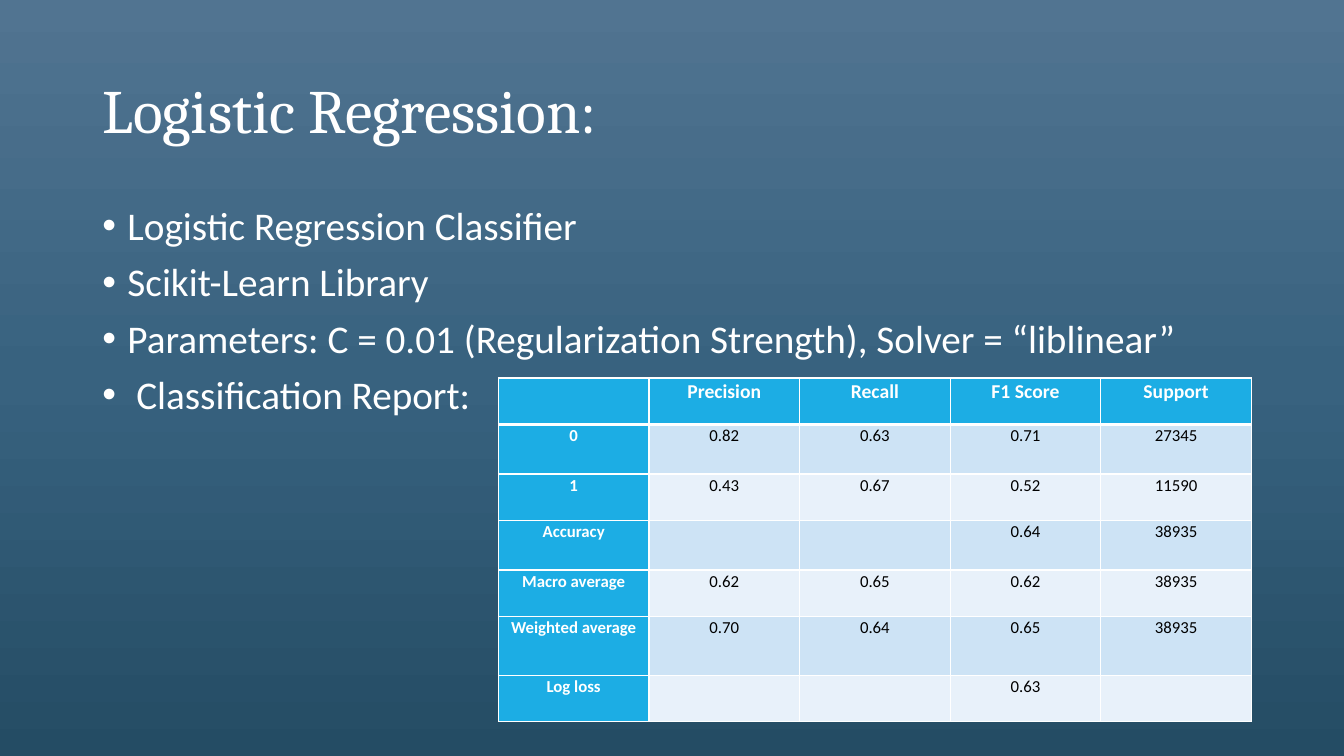
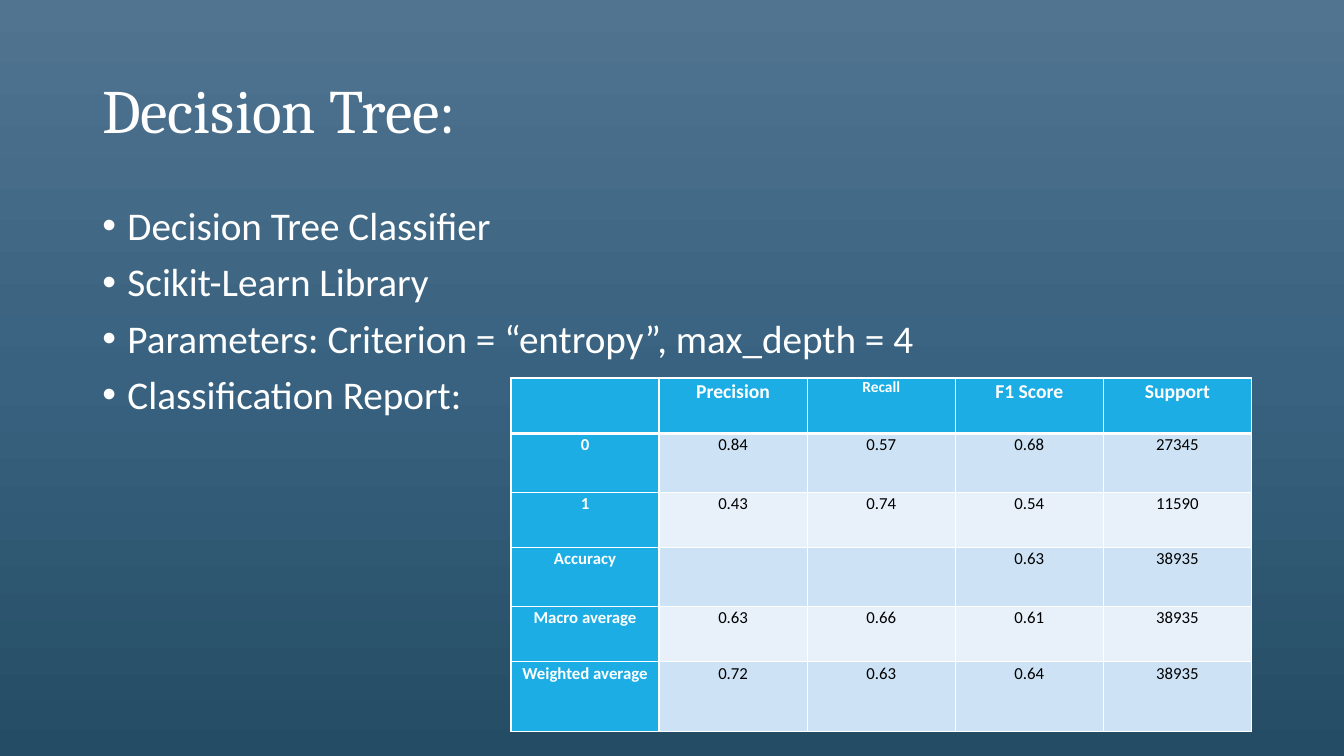
from collections import namedtuple
from copy import deepcopy
from dataclasses import dataclass

from lxml import etree
from pptx import Presentation
from pptx.dml.color import RGBColor
from pptx.enum import text
from pptx.oxml import ns
from pptx.util import Pt

Box = namedtuple("Box", "left top width height")


@dataclass(frozen=True)
class Theme:
    gradient: tuple = ((0, "517491"), (0.5, "38627F"), (1, "244C64"))
    light: str = "FFFFFF"
    dark: str = "000000"
    accent: str = "1CADE4"
    bands: tuple = ("CDE3F5", "E8F1FA")
    title_font: str = "Cambria"
    body_font: str = "Calibri"
    title_size: float = 44
    body_size: float = 28
    header_size: float = 14
    small_header_size: float = 11
    cell_size: float = 12
    thin_line: float = 1
    thick_line: float = 3


THEME = Theme()
SLIDE_SIZE = (960, 540)
TITLE_BOX = Box(66, 29, 828, 104)
BODY_BOX = Box(66, 144, 828, 343)
TABLE_TOP = 270
BULLET_INDENT = 18
BODY_FORMAT = {"line_spacing": 0.9, "space_before": Pt(10)}
CELL_FORMAT = {
    "alignment": text.PP_ALIGN.CENTER,
    "line_spacing": 1.07,
    "space_before": Pt(6),
    "space_after": Pt(8),
}
SMALL_HEADER_FORMAT = {
    "alignment": text.PP_ALIGN.CENTER,
    "space_before": Pt(6),
}
CELL_MARGINS = {
    "margin_left": Pt(5),
    "margin_right": Pt(5),
    "margin_top": 0,
    "margin_bottom": 0,
}
HEADERS = ("", "Precision", "Recall", "F1 Score", "Support")
ROW_WEIGHTS = (1, 1.06, 1, 1.06, 1, 1.26, 1)

MODELS = (
    {
        "title": "Logistic Regression:",
        "bullets": (
            "Logistic Regression Classifier",
            "Scikit-Learn Library",
            "Parameters: C = 0.01 (Regularization Strength), Solver = “liblinear”",
            " Classification Report:",
        ),
        "table_size": (538, 245.6),
        "small_headers": (),
        "report": (
            ("0", "0.82", "0.63", "0.71", "27345"),
            ("1", "0.43", "0.67", "0.52", "11590"),
            ("Accuracy", "", "", "0.64", "38935"),
            ("Macro average", "0.62", "0.65", "0.62", "38935"),
            ("Weighted average", "0.70", "0.64", "0.65", "38935"),
            ("Log loss", "", "", "0.63", ""),
        ),
    },
    {
        "title": "Decision Tree:",
        "bullets": (
            "Decision Tree Classifier",
            "Scikit-Learn Library",
            "Parameters: Criterion = “entropy”, max_depth = 4",
            "Classification Report:",
        ),
        "table_size": (529, 252.6),
        "small_headers": ("Recall",),
        "report": (
            ("0", "0.84", "0.57", "0.68", "27345"),
            ("1", "0.43", "0.74", "0.54", "11590"),
            ("Accuracy", "", "", "0.63", "38935"),
            ("Macro average", "0.63", "0.66", "0.61", "38935"),
            ("Weighted average", "0.72", "0.63", "0.64", "38935"),
        ),
    },
)


def set_attributes(target, values):
    for name, value in values.items():
        setattr(target, name, value)


def write(paragraph, words, paragraph_format, color, **font_format):
    set_attributes(paragraph, paragraph_format)
    run = paragraph.add_run()
    run.text = words
    set_attributes(run.font, font_format)
    run.font.color.rgb = RGBColor.from_string(color)


def paint_background(master):
    """Give every slide the gradient, running from top to bottom."""
    fill = master.background.fill
    fill.gradient()
    fill.gradient_angle = 270
    stop_list = master.element.xpath(".//p:bg//a:gsLst")[0]
    stop_list.insert(1, deepcopy(stop_list[0]))
    for stop, (position, color) in zip(fill.gradient_stops, THEME.gradient):
        stop.position = position
        stop.color.rgb = RGBColor.from_string(color)


def add_text_frame(slide, box, anchor):
    frame = slide.shapes.add_textbox(*map(Pt, box)).text_frame
    set_attributes(frame, {"word_wrap": True, "vertical_anchor": anchor})
    return frame


def add_title(slide, box, words):
    frame = add_text_frame(slide, box, text.MSO_ANCHOR.MIDDLE)
    write(frame.paragraphs[0], words, {"line_spacing": 0.9}, THEME.light,
          name=THEME.title_font, size=Pt(THEME.title_size))


def add_bullet(paragraph):
    properties = paragraph._p.get_or_add_pPr()
    properties.set("marL", str(Pt(BULLET_INDENT)))
    properties.set("indent", str(-Pt(BULLET_INDENT)))
    etree.SubElement(properties, ns.qn("a:buFont"), typeface="Arial")
    etree.SubElement(properties, ns.qn("a:buChar"), char="•")


def add_bullets(slide, box, lines):
    frame = add_text_frame(slide, box, text.MSO_ANCHOR.TOP)
    for index, line in enumerate(lines):
        paragraph = frame.add_paragraph() if index else frame.paragraphs[0]
        write(paragraph, line, BODY_FORMAT, THEME.light,
              name=THEME.body_font, size=Pt(THEME.body_size))
        add_bullet(paragraph)


def add_borders(cell, row_index):
    """Draw thin borders, with a thick rule between header and body."""
    properties = cell._tc.get_or_add_tcPr()
    thick_side = {0: "lnB", 1: "lnT"}.get(row_index)
    for side in ("lnL", "lnR", "lnT", "lnB"):
        width = THEME.thick_line if side == thick_side else THEME.thin_line
        line = etree.SubElement(properties, ns.qn(f"a:{side}"), w=str(Pt(width)))
        fill = etree.SubElement(line, ns.qn("a:solidFill"))
        etree.SubElement(fill, ns.qn("a:srgbClr"), val=THEME.light)


def fill_cell(cell, words, row_index, column_index, small):
    is_heading = row_index == 0 or column_index == 0
    background = THEME.accent if is_heading else THEME.bands[(row_index - 1) % 2]
    add_borders(cell, row_index)
    cell.fill.solid()
    cell.fill.fore_color.rgb = RGBColor.from_string(background)
    if not words:
        return
    set_attributes(cell, CELL_MARGINS)
    size = THEME.header_size if row_index == 0 else THEME.cell_size
    if small:
        size = THEME.small_header_size
    write(cell.text_frame.paragraphs[0], words,
          SMALL_HEADER_FORMAT if small else CELL_FORMAT,
          THEME.light if is_heading else THEME.dark,
          name=THEME.body_font, size=Pt(size), bold=is_heading)


def add_report(slide, box, report, small_headers):
    rows = (HEADERS, *report)
    table = slide.shapes.add_table(len(rows), len(HEADERS), *map(Pt, box)).table
    for column in table.columns:
        column.width = Pt(box.width / len(HEADERS))
    weights = ROW_WEIGHTS[:len(rows)]
    for row_index, (weight, values) in enumerate(zip(weights, rows)):
        table.rows[row_index].height = Pt(box.height * weight / sum(weights))
        for column_index, words in enumerate(values):
            fill_cell(table.cell(row_index, column_index), words,
                      row_index, column_index, words in small_headers)


def add_model_slide(presentation, model):
    slide = presentation.slides.add_slide(presentation.slide_layouts[6])
    add_title(slide, TITLE_BOX, model["title"])
    add_bullets(slide, BODY_BOX, model["bullets"])
    width, height = model["table_size"]
    left = BODY_BOX.left + BODY_BOX.width - width
    add_report(slide, Box(left, TABLE_TOP, width, height),
               model["report"], model["small_headers"])


def main():
    presentation = Presentation()
    presentation.slide_width, presentation.slide_height = map(Pt, SLIDE_SIZE)
    paint_background(presentation.slide_master)
    for model in MODELS:
        add_model_slide(presentation, model)
    presentation.save("out.pptx")


if __name__ == "__main__":
    main()
